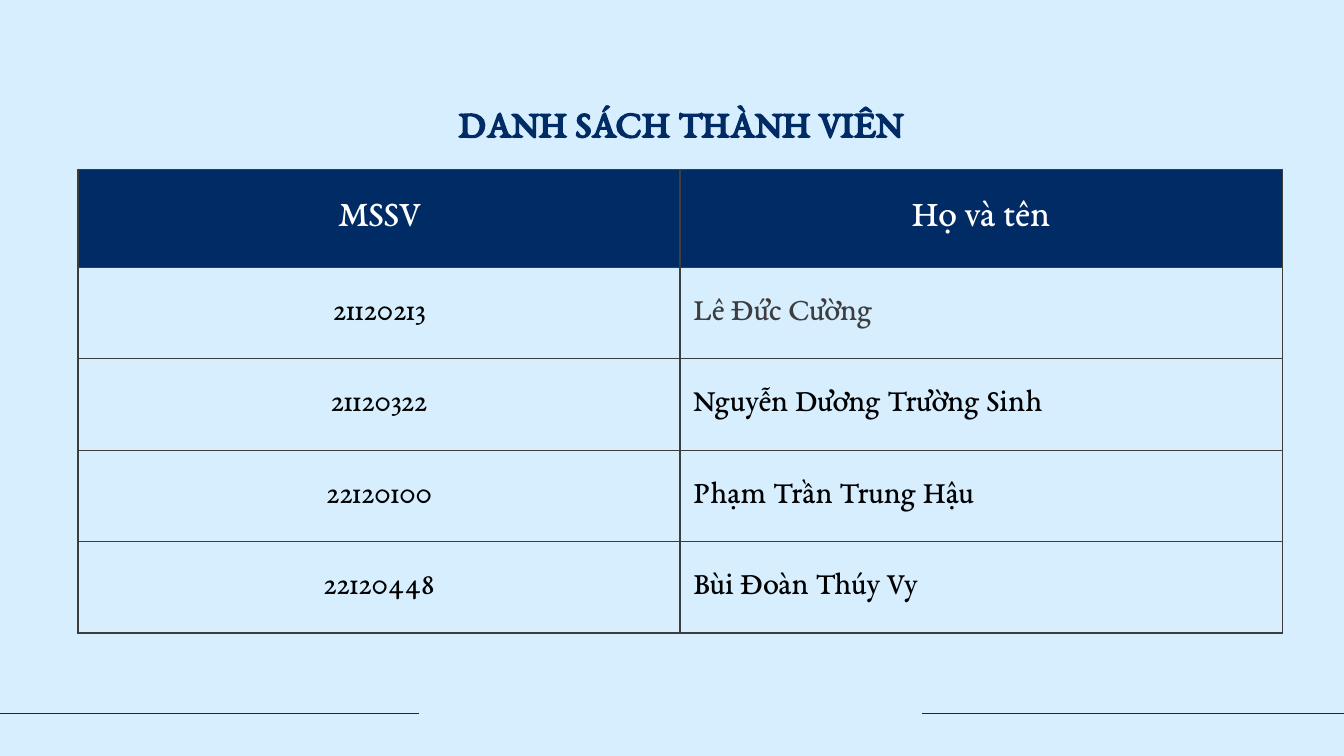
from typing import NamedTuple

import pptx
import pptx.dml.color
import pptx.enum.shapes
import pptx.enum.text
import pptx.oxml
import pptx.oxml.ns
import pptx.util

Inches, Pt = pptx.util.Inches, pptx.util.Pt
RGBColor = pptx.dml.color.RGBColor
ALIGN = pptx.enum.text.PP_ALIGN
ANCHOR = pptx.enum.text.MSO_ANCHOR

FONT = "EB Garamond"
SKY = RGBColor(0xD6, 0xEE, 0xFE)
NAVY = RGBColor(0x00, 0x2B, 0x65)
GRAY = RGBColor(0x3D, 0x3D, 0x3D)
BLACK = RGBColor(0x00, 0x00, 0x00)
WHITE = RGBColor(0xFF, 0xFF, 0xFF)

INSET = Inches(0.1)
COL_WIDTH, HEADER_HEIGHT, ROW_HEIGHT = 4.48, 0.73, 0.68


class Member(NamedTuple):
    student_id: str
    name: str
    name_color: RGBColor = BLACK


MEMBERS = [
    Member("21120213", "Lê Đức Cường", GRAY),
    Member("21120322", "Nguyễn Dương Trường Sinh"),
    Member("22120100", "Phạm Trần Trung Hậu"),
    Member("22120448", "Bùi Đoàn Thúy Vy"),
]


def format_paragraph(p, size: float, color: RGBColor, align, bold: bool = False) -> None:
    p.alignment = align
    p.font.name = FONT
    p.font.size = Pt(size)
    p.font.bold = bold
    p.font.color.rgb = color


def set_insets(box) -> None:
    box.margin_left = box.margin_right = box.margin_top = box.margin_bottom = INSET


def set_borders(cell) -> None:
    tc_pr = cell._tc.get_or_add_tcPr()
    for i, side in enumerate(("lnL", "lnR", "lnT", "lnB")):
        tc_pr.insert(i, pptx.oxml.parse_xml(
            f'<a:{side} {pptx.oxml.ns.nsdecls("a")} w="{Pt(0.75)}">'
            f'<a:solidFill><a:srgbClr val="{GRAY}"/></a:solidFill></a:{side}>'))


def write_cell(cell, text: str, size: float, color: RGBColor, align, fill=None) -> None:
    cell.text = text
    cell.vertical_anchor = ANCHOR.MIDDLE
    set_insets(cell)
    format_paragraph(cell.text_frame.paragraphs[0], size, color, align)
    if fill is None:
        cell.fill.background()
    else:
        cell.fill.solid()
        cell.fill.fore_color.rgb = fill
    set_borders(cell)


def add_title(s, text: str) -> None:
    sp = s.shapes.title
    sp.left, sp.top, sp.width, sp.height = map(Inches, (2.95, 0.63, 4.23, 0.56))
    tf = sp.text_frame
    tf.text = text
    tf.word_wrap = True
    tf.auto_size = pptx.enum.text.MSO_AUTO_SIZE.SHAPE_TO_FIT_TEXT
    tf.vertical_anchor = ANCHOR.TOP
    set_insets(tf)
    format_paragraph(tf.paragraphs[0], 21, NAVY, ALIGN.CENTER, bold=True)


def add_member_table(s, members: list[Member]) -> None:
    table = s.shapes.add_table(
        len(members) + 1, 2, Inches(0.58), Inches(1.26), Inches(2 * COL_WIDTH),
        Inches(HEADER_HEIGHT + len(members) * ROW_HEIGHT)).table
    table.first_row = table.horz_banding = False
    for column in table.columns:
        column.width = Inches(COL_WIDTH)
    for i, row in enumerate(table.rows):
        row.height = Inches(ROW_HEIGHT if i else HEADER_HEIGHT)

    for col, heading in enumerate(("MSSV", "Họ và tên")):
        write_cell(table.cell(0, col), heading, 20, WHITE, ALIGN.CENTER, NAVY)
    for i, member in enumerate(members, start=1):
        write_cell(table.cell(i, 0), member.student_id, 17, BLACK, ALIGN.CENTER)
        write_cell(table.cell(i, 1), member.name, 17, member.name_color, ALIGN.LEFT)


def add_footer_rule(s, left: float, right: float) -> None:
    y = Inches(5.31)
    line = s.shapes.add_connector(
        pptx.enum.shapes.MSO_CONNECTOR.STRAIGHT, Inches(left), y, Inches(right), y)
    line.line.color.rgb = NAVY
    line.line.width = Pt(0.75)
    line._element.spPr.append(
        pptx.oxml.parse_xml(f'<a:effectLst {pptx.oxml.ns.nsdecls("a")}/>'))


def main() -> None:
    prs = pptx.Presentation()
    prs.slide_width = Inches(10)
    prs.slide_height = prs.slide_width * 9 // 16
    s = prs.slides.add_slide(prs.slide_layouts.get_by_name("Title Only"))
    s.background.fill.solid()
    s.background.fill.fore_color.rgb = SKY

    add_title(s, "DANH SÁCH THÀNH VIÊN")
    add_member_table(s, MEMBERS)
    for left, right in ((-0.02, 3.12), (6.86, 10)):
        add_footer_rule(s, left, right)
    prs.save("out.pptx")


if __name__ == "__main__":
    main()
